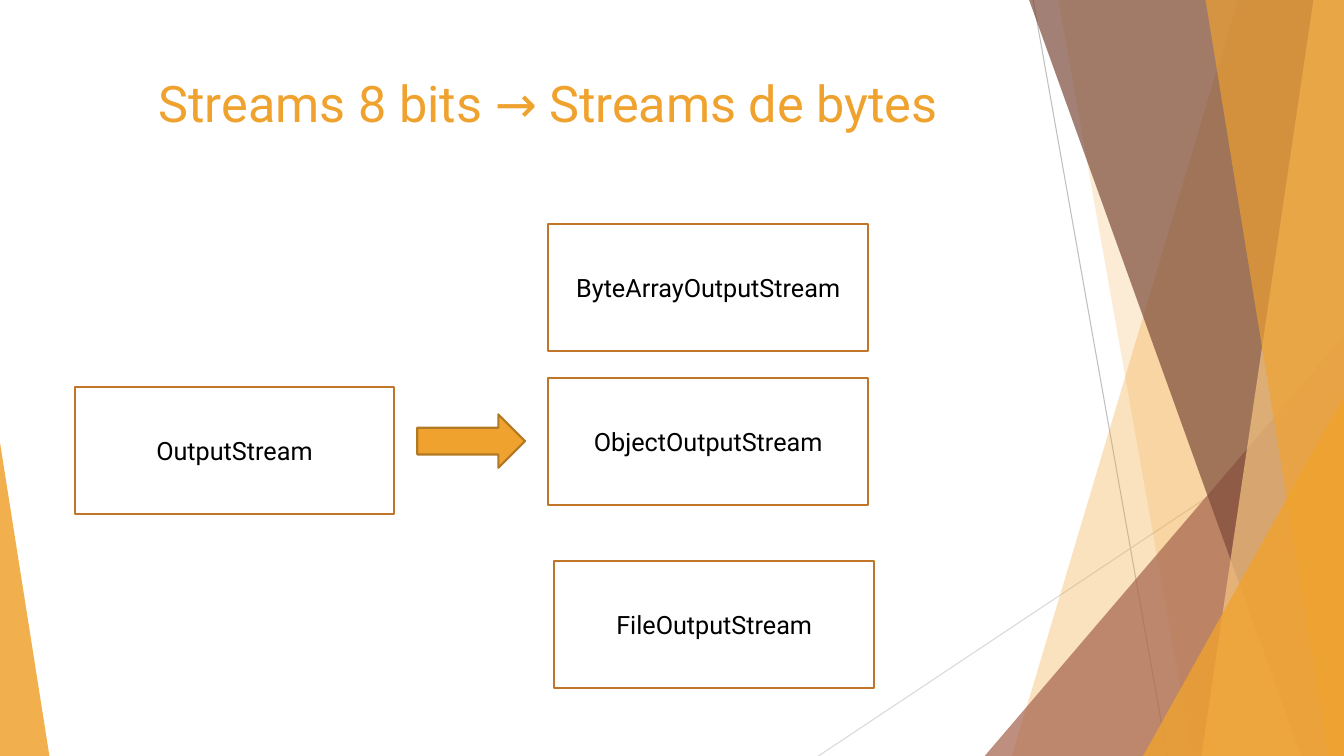
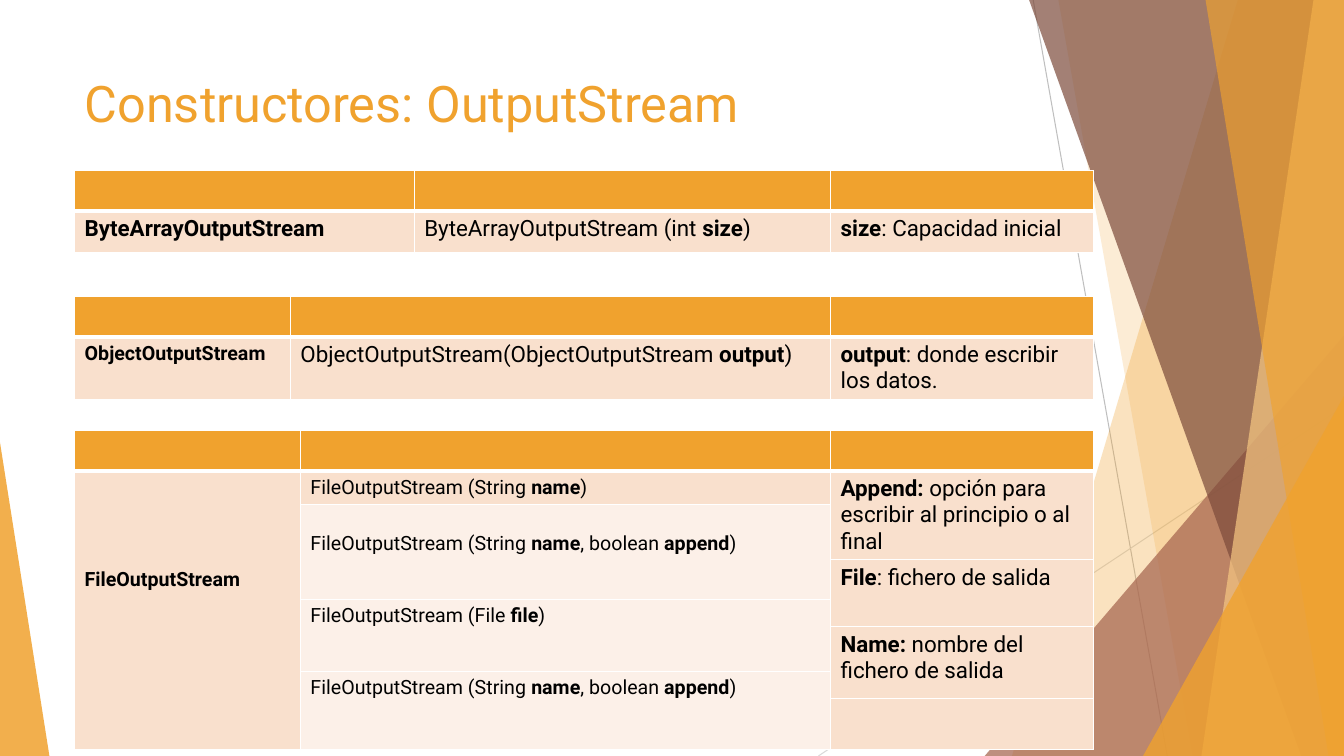
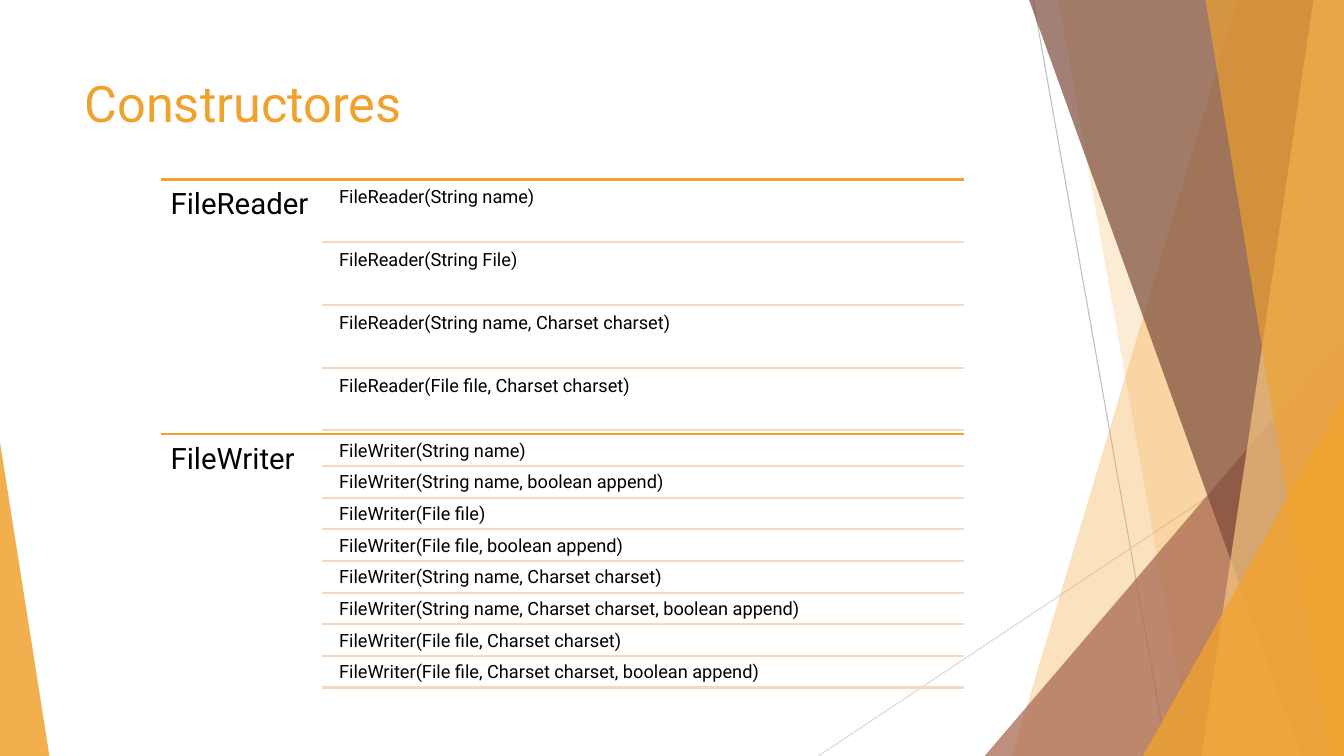
"""Builds three slides on Java output streams and their constructors."""
from dataclasses import dataclass

from lxml import etree
from pptx import Presentation
from pptx.dml.color import RGBColor
from pptx.enum.shapes import MSO_CONNECTOR, MSO_SHAPE
from pptx.enum.text import MSO_ANCHOR, MSO_AUTO_SIZE, PP_ALIGN
from pptx.oxml.ns import qn
from pptx.util import Pt

STRAIGHT = MSO_CONNECTOR.STRAIGHT
RECTANGLE = MSO_SHAPE.RECTANGLE
RIGHT_ARROW = MSO_SHAPE.RIGHT_ARROW
TRIANGLE = MSO_SHAPE.ISOSCELES_TRIANGLE
LEFT, CENTER = PP_ALIGN.LEFT, PP_ALIGN.CENTER
TOP, MIDDLE = MSO_ANCHOR.TOP, MSO_ANCHOR.MIDDLE
NO_AUTOFIT = MSO_AUTO_SIZE.NONE


@dataclass(frozen=True)
class Theme:
    font: str = "Roboto"
    accent: str = "F0A22E"
    sand: str = "F6C782"
    copper: str = "A5644E"
    brown: str = "7C4B3B"
    box_line: str = "C17529"
    arrow_line: str = "B27822"
    pale: str = "F9E0CD"
    light: str = "FCF0E8"
    rule: str = "F8D7BE"
    gray: str = "BFBFBF"
    light_gray: str = "D9D9D9"
    white: str = "FFFFFF"
    black: str = "000000"
    title: int = 36
    heading: int = 21
    box: int = 18
    body: int = 16
    small: int = 14
    item: int = 13


def style_shape(shape, fill, line=None, opacity=100):
    """Fill and outline a shape without a shadow."""
    shape.shadow.inherit = False
    shape.fill.solid()
    shape.fill.fore_color.rgb = RGBColor.from_string(fill)
    if opacity < 100:
        colour = shape.element.spPr.find(".//" + qn("a:srgbClr"))
        etree.SubElement(colour, qn("a:alpha"), val=str(opacity * 1000))
    if line:
        shape.line.color.rgb = RGBColor.from_string(line)
        shape.line.width = Pt(1.5)
    else:
        shape.line.fill.background()


def add_line(shapes, start, end, colour, width):
    """Draw a straight line between two points."""
    line = shapes.add_connector(STRAIGHT, *(Pt(value) for value in start + end))
    line.line.color.rgb = RGBColor.from_string(colour)
    line.line.width = Pt(width)
    etree.SubElement(line.element.spPr, qn("a:effectLst"))


theme = Theme()
WIDTH, HEIGHT, MARGIN = 960, 540, 53.3

deck = Presentation()
deck.slide_width, deck.slide_height = Pt(WIDTH), Pt(HEIGHT)
layout = deck.slide_layouts[5]
for placeholder in list(layout.placeholders)[1:]:
    placeholder.element.getparent().remove(placeholder.element)

pages = []
for title_text, title_height, alignment in [
    ("Streams 8 bits → Streams de bytes", 76.3, CENTER),
    ("Constructores: OutputStream", 73.4, LEFT),
    ("Constructores", 54, LEFT),
]:
    page = deck.slides.add_slide(layout)
    title = page.shapes.title
    title.left, title.top = Pt(MARGIN), Pt(48.2)
    title.width, title.height = Pt(676.8), Pt(title_height)
    frame = title.text_frame
    frame.text = title_text
    frame.auto_size = NO_AUTOFIT
    frame.vertical_anchor = TOP
    para = frame.paragraphs[0]
    para.alignment = alignment
    para.font.name = theme.font
    para.font.size = Pt(theme.title)
    para.font.color.rgb = RGBColor.from_string(theme.accent)
    pages.append(page)
streams_page, tables_page, files_page = pages

shapes = streams_page.shapes
add_line(shapes, (738, 0), (833.8, HEIGHT), theme.gray, 0.75)
add_line(shapes, (WIDTH, 290.2), (584.6, HEIGHT), theme.light_gray, 0.75)
for kind, geometry, colour, opacity in [
    ("band", (884.2, 722.9), theme.accent, 30),
    ("band", (756, 851.8), theme.accent, 20),
    ("triangle", (703.4, 239.8, 256.6, 1), theme.copper, 72),
    ("band", (735.1, 929.5), theme.brown, 70),
    ("band", (938.2, 858.2), theme.sand, 70),
    ("band", (861.1, 949), theme.accent, 65),
    ("triangle", (816.5, 283, 143.5, 1), theme.accent, 80),
    ("triangle", (0, 316.1, 35.3, 0), theme.accent, 85),
]:
    if kind == "band":
        top_x, bottom_x = geometry
        outline = shapes.build_freeform(Pt(top_x), 0)
        outline.add_line_segments([
            (Pt(WIDTH), 0), (Pt(WIDTH), Pt(HEIGHT)), (Pt(bottom_x), Pt(HEIGHT)),
        ])
        facet = outline.convert_to_shape()
    else:
        left, top, width, apex = geometry
        facet = shapes.add_shape(TRIANGLE, Pt(left), Pt(top), Pt(width), Pt(HEIGHT - top))
        facet.adjustments[0] = apex
    style_shape(facet, colour, opacity=opacity)

facets = [shape for shape in shapes if not shape.is_placeholder]
for position, facet in enumerate(facets, start=2):
    layout.shapes.element.insert(position, facet.element)

for label, left, top in [
    ("OutputStream", MARGIN, 276.5),
    ("ByteArrayOutputStream", 391.7, 159.8),
    ("ObjectOutputStream", 391.7, 270),
    ("FileOutputStream", 396, 401),
]:
    box = shapes.add_shape(RECTANGLE, Pt(left), Pt(top), Pt(228.4), Pt(90.7))
    style_shape(box, theme.white, theme.box_line)
    frame = box.text_frame
    frame.text = label
    frame.vertical_anchor = MIDDLE
    para = frame.paragraphs[0]
    para.alignment = CENTER
    para.font.name = theme.font
    para.font.size = Pt(theme.box)
    para.font.color.rgb = RGBColor.from_string(theme.black)
arrow = shapes.add_shape(RIGHT_ARROW, Pt(298.1), Pt(296), Pt(77), Pt(38.2))
style_shape(arrow, theme.accent, theme.arrow_line)

# Cells: first row, last row, column, type size, top margin, text with *bold* parts
TABLES = [
    (121.7, (242.6, 297.4, 187.9), (29.2, 29.2), [
        (1, 1, 0, theme.body, 3.6, "*ByteArrayOutputStream*"),
        (1, 1, 1, theme.body, 3.6, "ByteArrayOutputStream (int *size*)"),
        (1, 1, 2, theme.body, 3.6, "*size*: Capacidad inicial"),
    ]),
    (211.7, (154.1, 385.9, 187.9), (29.2, 44.7), [
        (1, 1, 0, theme.small, 3.6, "*ObjectOutputStream*"),
        (1, 1, 1, theme.body, 3.6, "ObjectOutputStream(ObjectOutputStream *output*)"),
        (1, 1, 2, theme.body, 3.6, "*output*: donde escribir los datos."),
    ]),
    (307.4, (161.3, 378.7, 187.9), (29.2, 23.2, 39.2, 28.5, 19.3, 32.2, 19.2, 36.4), [
        (1, 7, 0, theme.small, 69.2, "*FileOutputStream*"),
        (1, 1, 1, theme.small, 3.6, "FileOutputStream (String *name*)"),
        (2, 3, 1, theme.small, 20, "FileOutputStream (String *name*, boolean *append*)"),
        (4, 5, 1, theme.small, 3.6, "FileOutputStream (File *file*)"),
        (6, 7, 1, theme.small, 3.6, "FileOutputStream (String *name*, boolean *append*)"),
        (1, 2, 2, theme.body, 3.6, "*Append: *opción para escribir al principio o al final"),
        (3, 4, 2, theme.body, 3.6, "*File*: fichero de salida"),
        (5, 6, 2, theme.body, 3.6, "*Name: *nombre del fichero de salida"),
    ]),
]
for top, widths, heights, entries in TABLES:
    table = tables_page.shapes.add_table(
        len(heights), len(widths), Pt(MARGIN), Pt(top), Pt(sum(widths)), Pt(sum(heights))
    ).table
    table.horz_banding = False
    for column, width in zip(table.columns, widths):
        column.width = Pt(width)
    for row, height in enumerate(heights):
        table.rows[row].height = Pt(height)
        for column in range(len(widths)):
            cell = table.cell(row, column)
            properties = cell._tc.get_or_add_tcPr()
            for side, weight in [
                ("L", 1), ("R", 1), ("T", 3 if row == 1 else 1), ("B", 3 if row == 0 else 1),
            ]:
                border = etree.SubElement(properties, qn("a:ln" + side), w=str(Pt(weight)))
                paint = etree.SubElement(border, qn("a:solidFill"))
                etree.SubElement(paint, qn("a:srgbClr"), val=theme.white)
            if row == 0:
                colour = theme.accent
            else:
                colour = theme.light if column == 1 and row > 1 else theme.pale
            cell.fill.solid()
            cell.fill.fore_color.rgb = RGBColor.from_string(colour)
    for first, last, column, size, margin_top, text in entries:
        cell = table.cell(first, column)
        if last > first:
            cell.merge(table.cell(last, column))
        cell.margin_top = Pt(margin_top)
        para = cell.text_frame.paragraphs[0]
        para.font.name = theme.font
        para.font.size = Pt(size)
        para.font.color.rgb = RGBColor.from_string(theme.black)
        for index, part in enumerate(text.split("*")):
            if part:
                span = para.add_run()
                span.text = part
                span.font.bold = index % 2 == 1

SECTIONS = [
    ("FileReader", 128.2, 44.8, [
        "(String name)",
        "(String File)",
        "(String name, Charset charset)",
        "(File file, Charset charset)",
    ]),
    ("FileWriter", 310.3, 22.6, [
        "(String name)",
        "(String name, boolean append)",
        "(File file)",
        "(File file, boolean append)",
        "(String name, Charset charset)",
        "(String name, Charset charset, boolean append)",
        "(File file, Charset charset)",
        "(File file, Charset charset, boolean append)",
    ]),
]
LIST_LEFT, RULE_LEFT, ITEM_LEFT, LIST_RIGHT = 115.2, 229.7, 238.3, 688.3
shapes = files_page.shapes
for class_name, top, pitch, signatures in SECTIONS:
    add_line(shapes, (LIST_LEFT, top), (LIST_RIGHT, top), theme.accent, 1.5)
    labels = [(class_name, LIST_LEFT, top, RULE_LEFT - LIST_LEFT, 182.2, 6.6, theme.heading)]
    for index, signature in enumerate(signatures):
        item_top = top + pitch * (index + 0.05)
        labels.append((class_name + signature, ITEM_LEFT, item_top,
                       LIST_RIGHT - ITEM_LEFT, pitch * 0.95, 3.9, theme.item))
        rule_y = top + pitch * (index + 1)
        add_line(shapes, (RULE_LEFT, rule_y), (LIST_RIGHT, rule_y), theme.rule, 1.5)
    for text, left, label_top, width, height, inset, size in labels:
        box = shapes.add_textbox(Pt(left), Pt(label_top), Pt(width), Pt(height))
        frame = box.text_frame
        frame.word_wrap = True
        frame.margin_left = frame.margin_right = Pt(inset)
        frame.margin_top = frame.margin_bottom = Pt(inset)
        frame.text = text
        para = frame.paragraphs[0]
        para.line_spacing = 0.9
        para.font.name = theme.font
        para.font.size = Pt(size)
        para.font.color.rgb = RGBColor.from_string(theme.black)

deck.save("out.pptx")
